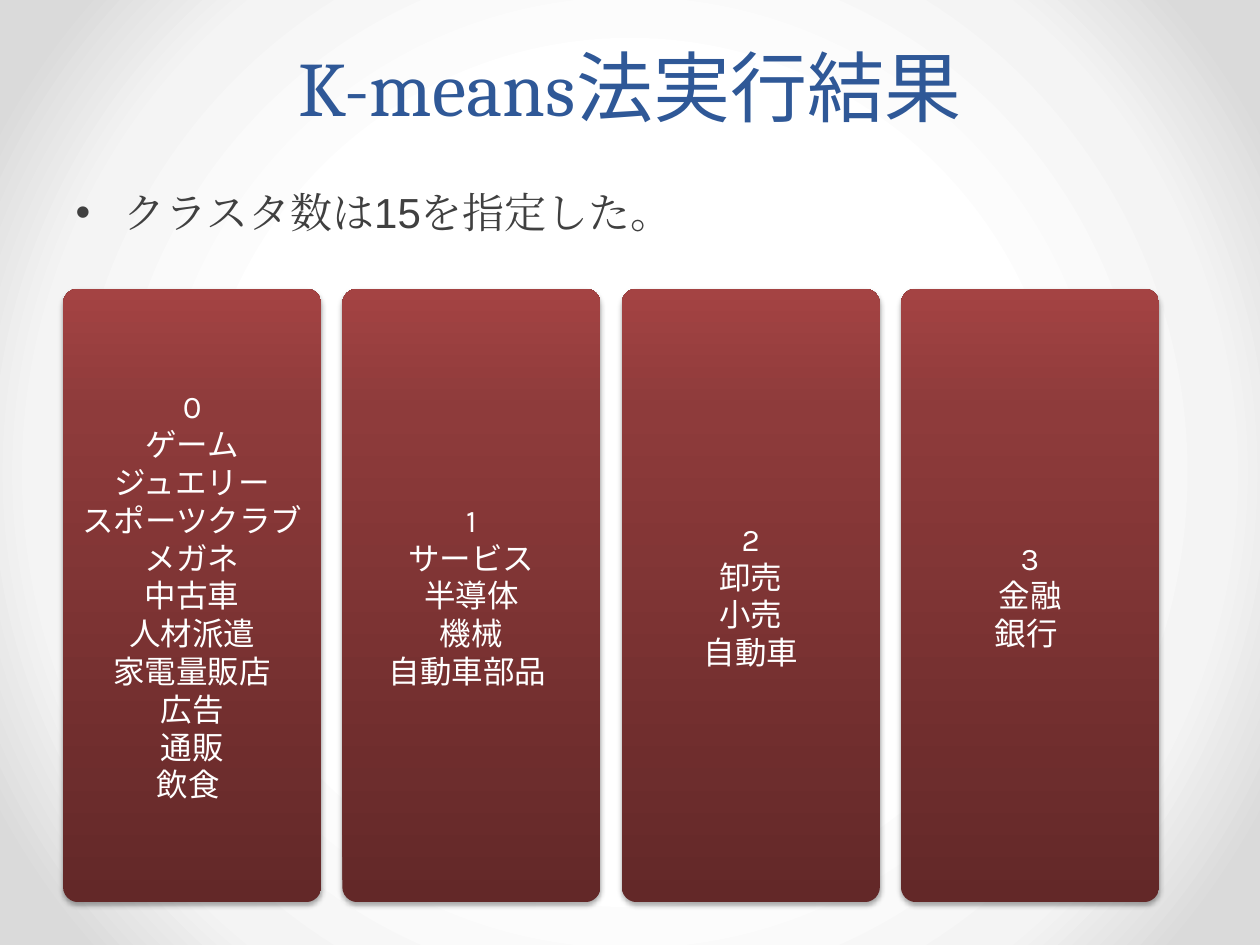
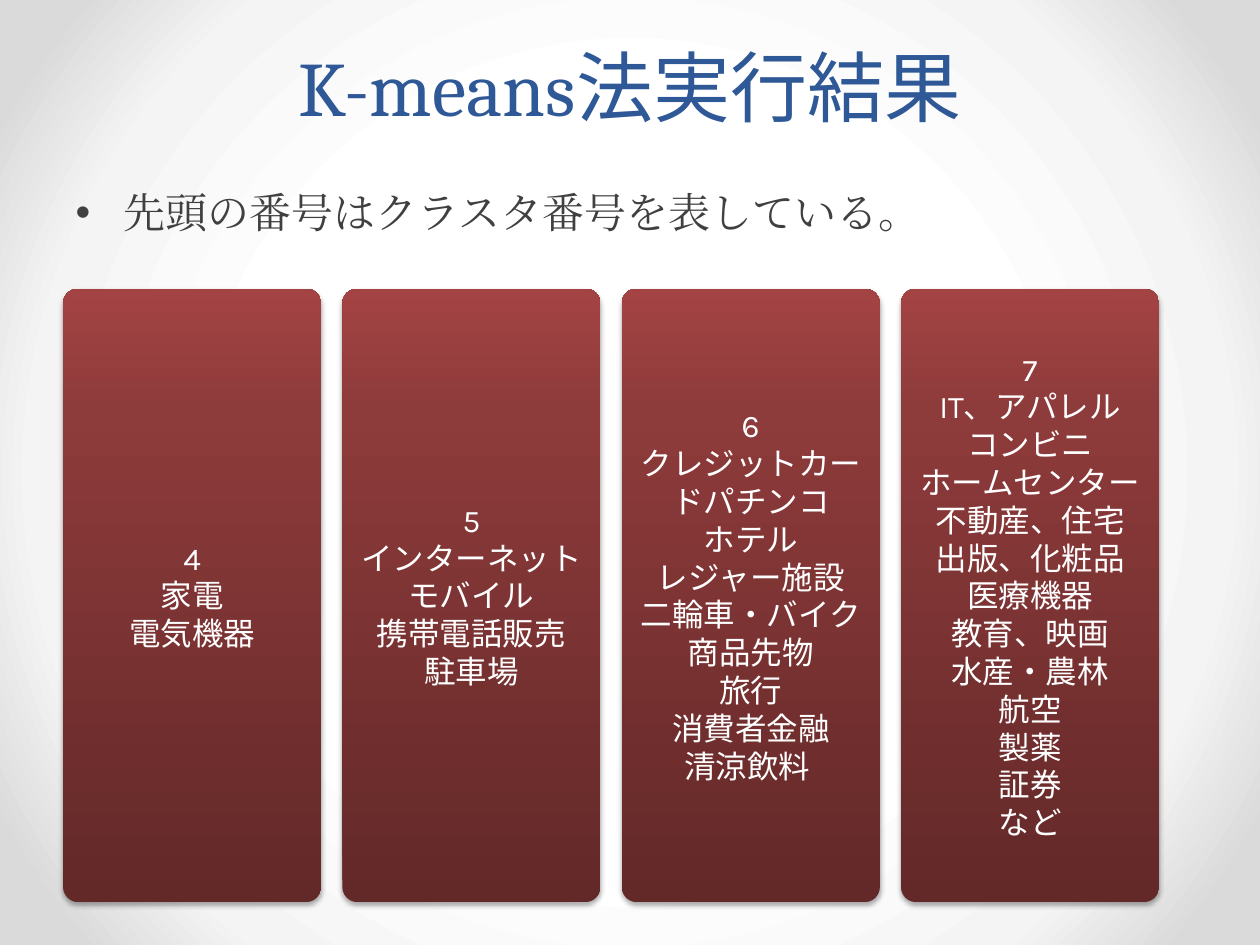
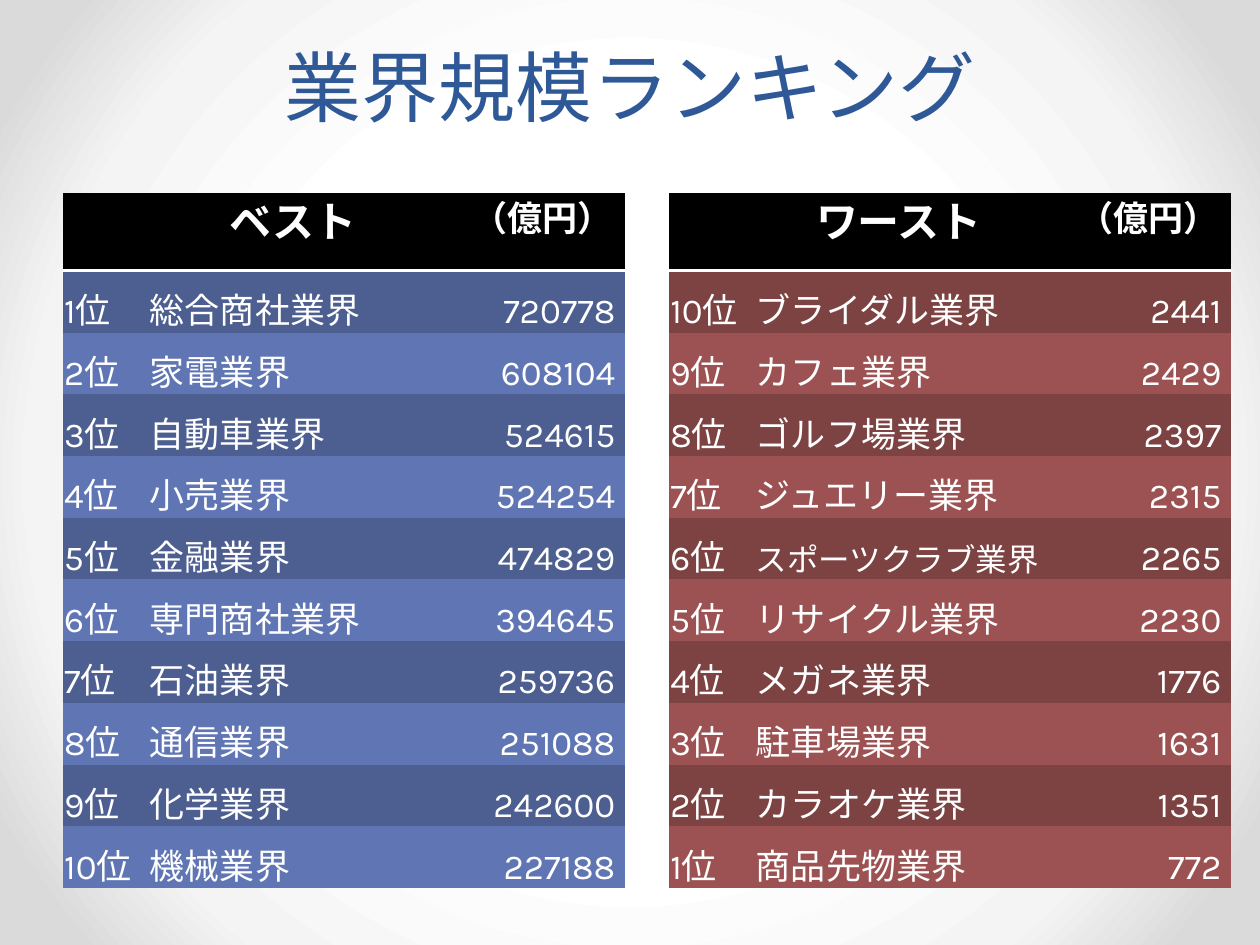
from collections import namedtuple

from lxml.etree import SubElement
from pptx import Presentation
from pptx.dml.color import RGBColor
from pptx.enum.lang import MSO_LANGUAGE_ID
from pptx.enum.shapes import MSO_SHAPE
from pptx.enum.text import MSO_ANCHOR, MSO_AUTO_SIZE, PP_ALIGN
from pptx.oxml import parse_xml
from pptx.oxml.ns import nsdecls, qn
from pptx.util import Inches, Pt

Box = namedtuple("Box", "left top width height")

TITLE_BLUE = RGBColor(0x2F, 0x58, 0x97)
BODY_GRAY = RGBColor(0x40, 0x40, 0x40)
WHITE = RGBColor(0xFF, 0xFF, 0xFF)
BLACK = RGBColor(0x00, 0x00, 0x00)
BLUE_BANDS = (RGBColor(0x4D, 0x5E, 0x90), RGBColor(0x60, 0x76, 0xB4))
RED_BANDS = (RGBColor(0x7D, 0x42, 0x42), RGBColor(0x9C, 0x52, 0x52))
CARD_STOPS = ((0, RGBColor(0x63, 0x28, 0x28)), (80, RGBColor(0x8E, 0x3B, 0x3B)),
              (100, RGBColor(0xA4, 0x43, 0x43)))
PAGE_STOPS = ((50, WHITE), (76, RGBColor(0xF4, 0xF4, 0xF4)), (92, RGBColor(0xDA, 0xDA, 0xDA)))

HEADING_FONT = "Cambria"
MAIN_FONT = "Karla"
NUMBER_FONT = "Arial"
PLAIN_TABLE_STYLE = "{2D5ABB26-0587-4C30-8999-92F81FD0307C}"

TITLE_BOX = Box(Inches(0.5), Inches(0), Inches(9), Inches(1.1))
BODY_BOX = Box(Inches(0.5), Inches(1.43), Inches(9), Inches(5.27))
CARDS_BOX = Box(Inches(0.5), Inches(2.29), Inches(8.7), Inches(4.87))
BEST_BOX = Box(Inches(0.5), Inches(1.53), Inches(4.46), Inches(5.52))
WORST_BOX = BEST_BOX._replace(left=Inches(5.31))
CARD_WIDTH = Inches(2.05)
COLUMN_WIDTHS = (Inches(0.68), Inches(2.29), Inches(1.49))
RANK_ROW_HEIGHT = Inches(0.49)

RESULT_TITLE = (("K-means", HEADING_FONT), ("法実行結果", MAIN_FONT))
RANKING_TITLE = (("業界規模ランキング", MAIN_FONT),)
COUNT_NOTE = (("クラスタ数は", HEADING_FONT), ("15", NUMBER_FONT), ("を指定した。", HEADING_FONT))
NUMBER_NOTE = (("先頭の番号はクラスタ番号を表している。", HEADING_FONT),)

FIRST_CLUSTERS = (
    ("0", "ゲーム", "ジュエリー", "スポーツクラブ", "メガネ", "中古車", "人材派遣",
     "家電量販店", "広告", "通販", "飲食 "),
    ("1", "サービス", "半導体", "機械", "自動車部品 "),
    ("2", "卸売", "小売", "自動車"),
    ("3", "金融", "銀行 "),
)
SECOND_CLUSTERS = (
    ("4", "家電", "電気機器"),
    ("5", "インターネット", "モバイル", "携帯電話販売", "駐車場"),
    ("6", "クレジットカードパチンコ", "ホテル", "レジャー施設", "二輪車・バイク", "商品先物",
     "旅行", "消費者金融", "清涼飲料 "),
    ("7", "IT、アパレル", "コンビニ", "ホームセンター", "不動産、住宅", "出版、化粧品",
     "医療機器", "教育、映画", "水産・農林", "航空", "製薬", "証券", "など"),
)
BEST = (("総合商社", 720778), ("家電", 608104), ("自動車", 524615), ("小売", 524254),
        ("金融", 474829), ("専門商社", 394645), ("石油", 259736), ("通信", 251088),
        ("化学", 242600), ("機械", 227188))
WORST = (("ブライダル", 2441), ("カフェ", 2429), ("ゴルフ場", 2397), ("ジュエリー", 2315),
         ("スポーツクラブ", 2265), ("リサイクル", 2230), ("メガネ", 1776), ("駐車場", 1631),
         ("カラオケ", 1351), ("商品先物", 772))


def add_span(para, text, size, color, font=MAIN_FONT, bold=False):
    """Add one run, with the same font for Latin and Japanese text."""
    span = para.add_run()
    span.text = text
    span.font.size = Pt(size)
    span.font.bold = bold
    span.font.color.rgb = color
    span.font.name = font
    span.font.language_id = MSO_LANGUAGE_ID.JAPANESE
    SubElement(span.font._element, qn("a:ea"), typeface=font)


def place(shape, box):
    """Move a shape to a box."""
    shape.left, shape.top, shape.width, shape.height = box


def gradient(stops, direction):
    """Return a gradient fill element."""
    marks = "".join(f'<a:gs pos="{position * 1000}"><a:srgbClr val="{color}"/></a:gs>'
                    for position, color in stops)
    return parse_xml(f'<a:gradFill {nsdecls("a")} rotWithShape="1">'
                     f'<a:gsLst>{marks}</a:gsLst>{direction}</a:gradFill>')


def replace_solid_fill(holder, fill):
    """Swap the solid fill of an element for another fill."""
    solid = holder.find(qn("a:solidFill"))
    holder.replace(solid, fill)


def style_master(deck):
    """Give all slides the round white-to-gray background."""
    master = deck.slide_master
    master.background.fill.solid()
    master.background.fill.fore_color.rgb = WHITE
    center = ('<a:path path="circle"><a:fillToRect l="50000" t="50000" r="50000" b="50000"/>'
              '</a:path>')
    holder = master.element.xpath(".//p:bgPr")[0]
    replace_solid_fill(holder, gradient(PAGE_STOPS, center))


def write_title(page, box, spans):
    """Place and write the slide title."""
    title = page.shapes.title
    place(title, box)
    frame = title.text_frame
    frame.auto_size = MSO_AUTO_SIZE.NONE
    frame.vertical_anchor = MSO_ANCHOR.BOTTOM
    para = frame.paragraphs[0]
    para.alignment = PP_ALIGN.CENTER
    para.line_spacing = Pt(58)
    for text, font in spans:
        add_span(para, text, 44, TITLE_BLUE, font)


def write_note(page, box, spans):
    """Write the bulleted sentence in the body placeholder."""
    body = page.placeholders[1]
    place(body, box)
    body.text_frame.auto_size = MSO_AUTO_SIZE.NONE
    para = body.text_frame.paragraphs[0]
    settings = para._p.get_or_add_pPr()
    settings.set("marL", str(Inches(0.38)))
    settings.set("indent", str(-Inches(0.38)))
    SubElement(settings, qn("a:buFont"), typeface=NUMBER_FONT)
    SubElement(settings, qn("a:buChar"), char="•")
    for text, font in spans:
        add_span(para, text, 24, BODY_GRAY, font)


def add_card(page, box, lines):
    """Add one red cluster card with centred lines."""
    card = page.shapes.add_shape(MSO_SHAPE.ROUNDED_RECTANGLE, *box)
    card.adjustments[0] = 0.059
    card.line.fill.background()
    card.fill.solid()
    card.fill.fore_color.rgb = CARD_STOPS[0][1]
    properties = card._element.spPr
    replace_solid_fill(properties, gradient(CARD_STOPS, '<a:lin ang="16200000" scaled="0"/>'))
    properties.append(parse_xml(
        f'<a:effectLst {nsdecls("a")}><a:outerShdw blurRad="{Pt(3.1)}" dist="{Pt(1.8)}" '
        f'dir="5400000" rotWithShape="0"><a:srgbClr val="{BLACK}"><a:alpha val="35000"/>'
        '</a:srgbClr></a:outerShdw></a:effectLst>'))
    frame = card.text_frame
    frame.word_wrap = True
    frame.vertical_anchor = MSO_ANCHOR.MIDDLE
    for index, line in enumerate(lines):
        para = frame.add_paragraph() if index else frame.paragraphs[0]
        para.alignment = PP_ALIGN.CENTER
        add_span(para, line, 18, WHITE)


def add_cards(page, box, clusters):
    """Spread the cluster cards evenly over a box."""
    pitch = (box.width - CARD_WIDTH) / (len(clusters) - 1)
    for index, lines in enumerate(clusters):
        left = box.left + round(index * pitch)
        add_card(page, Box(left, box.top, CARD_WIDTH, box.height), lines)


def add_cluster_slide(deck, note, clusters):
    """Add a slide with a note above a row of cluster cards."""
    page = deck.slides.add_slide(deck.slide_layouts[1])
    write_title(page, TITLE_BOX, RESULT_TITLE)
    write_note(page, BODY_BOX, note)
    add_cards(page, CARDS_BOX, clusters)


def fill_cell(cell, color, text, size, alignment, bold=False):
    """Fill a table cell and write its text."""
    cell.fill.solid()
    cell.fill.fore_color.rgb = color
    para = cell.text_frame.paragraphs[0]
    para.alignment = alignment
    if text:
        add_span(para, text, size, WHITE, bold=bold)


def write_header(row, heading):
    """Write the black header row with its white rule."""
    texts = (("", 24, PP_ALIGN.LEFT), (heading, 24, PP_ALIGN.CENTER),
             ("（億円）", 20, PP_ALIGN.RIGHT))
    for cell, (text, size, alignment) in zip(row.cells, texts):
        fill_cell(cell, BLACK, text, size, alignment, bold=True)
        cell._tc.tcPr.insert(0, parse_xml(
            f'<a:lnB {nsdecls("a")} w="{Pt(2)}"><a:solidFill><a:srgbClr val="{WHITE}"/>'
            '</a:solidFill></a:lnB>'))


def write_rank(row, color, rank, industry, amount):
    """Write one ranking row."""
    name_size = 18 if len(industry) > 6 else 20
    texts = ((f"{rank}位", 20, PP_ALIGN.LEFT), (f"{industry}業界", name_size, PP_ALIGN.LEFT),
             (f"{amount} ", 20, PP_ALIGN.RIGHT))
    for cell, (text, size, alignment) in zip(row.cells, texts):
        fill_cell(cell, color, text, size, alignment)
        cell.vertical_anchor = MSO_ANCHOR.BOTTOM
        cell.margin_left = cell.margin_top = cell.margin_right = Inches(0.01)
        cell.margin_bottom = 0


def add_ranking(page, box, heading, ranks, industries, bands):
    """Add one ranking table with two alternating row colours."""
    frame = page.shapes.add_table(len(industries) + 1, len(COLUMN_WIDTHS), *box)
    table = frame.table
    table._tbl.tblPr.find(qn("a:tableStyleId")).text = PLAIN_TABLE_STYLE
    for column, width in zip(table.columns, COLUMN_WIDTHS):
        column.width = width
    header, *rows = table.rows
    header.height = box.height - RANK_ROW_HEIGHT * len(rows)
    write_header(header, heading)
    for index, (row, rank, entry) in enumerate(zip(rows, ranks, industries)):
        row.height = RANK_ROW_HEIGHT
        write_rank(row, bands[index % 2], rank, *entry)


def add_ranking_slide(deck):
    """Add the slide with the best and worst industries."""
    page = deck.slides.add_slide(deck.slide_layouts[5])
    write_title(page, TITLE_BOX, RANKING_TITLE)
    add_ranking(page, BEST_BOX, "ベスト", range(1, 11), BEST, BLUE_BANDS)
    add_ranking(page, WORST_BOX, "ワースト", range(10, 0, -1), WORST, RED_BANDS)


def main():
    """Build the deck and save it."""
    deck = Presentation()
    deck.slide_width, deck.slide_height = Inches(10), Inches(7.5)
    style_master(deck)
    add_cluster_slide(deck, COUNT_NOTE, FIRST_CLUSTERS)
    add_cluster_slide(deck, NUMBER_NOTE, SECOND_CLUSTERS)
    add_ranking_slide(deck)
    deck.save("out.pptx")


main()
